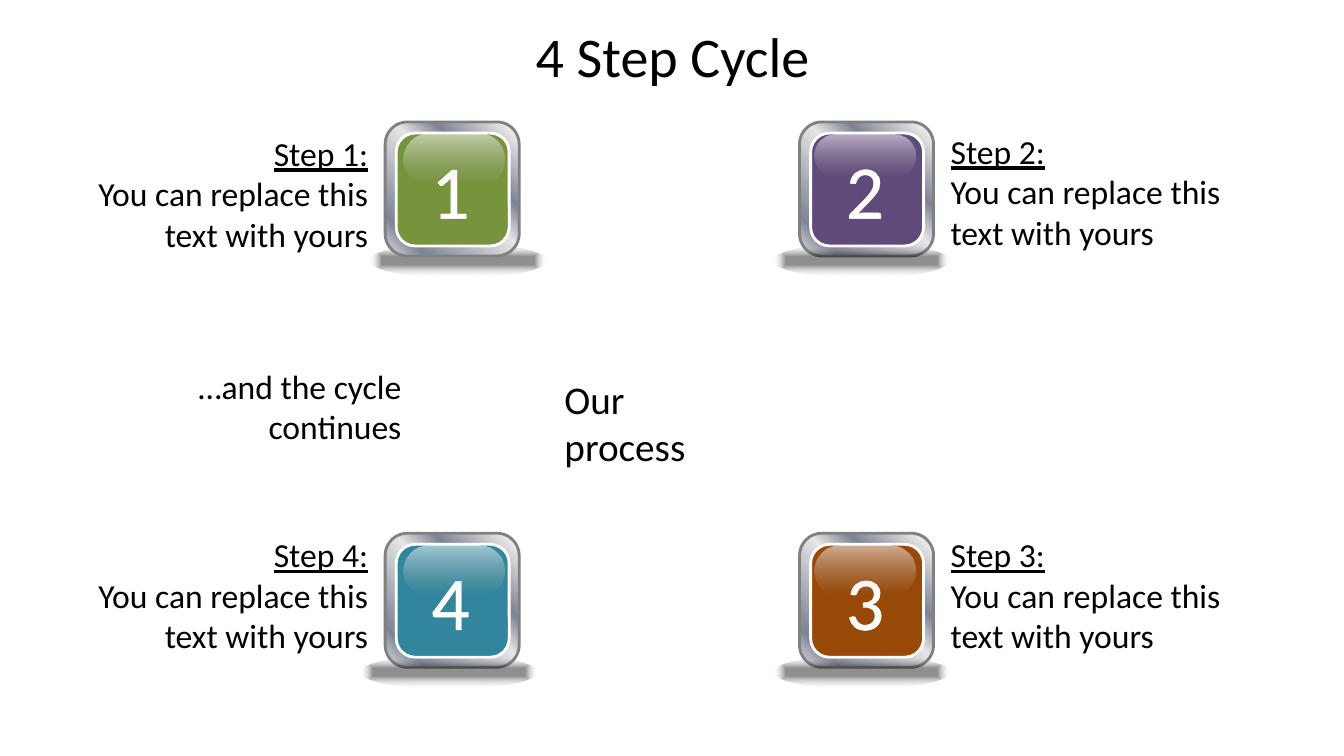
from pptx import Presentation, oxml, util as u
from pptx.dml.color import RGBColor
from pptx.enum import shapes, text
from pptx.oxml import ns

PX = 9144  # EMU per px, 100 px to the inch
THEME = dict(
    font="Calibri", ink="000000", white="FFFFFF", rim="808080",
    title=40, digit=54, centre=28, body=24,
    # Gradient stops: position, colour, opacity (all in percent)
    metal=[(0, "FFFFFF", 100), (7, "E6E6E6", 100), (32, "7D8496", 100),
           (47, "E6E6E6", 100), (85, "7D8496", 100), (100, "E6E6E6", 100)],
    gloss=[(0, "FFFFFF", 56), (100, "B6B6B6", 0)],
    shade=[(24, "000000", 44), (100, "FFFFFF", 0)],
)
ROUND, OVAL = shapes.MSO_SHAPE.ROUNDED_RECTANGLE, shapes.MSO_SHAPE.OVAL
LEFT, MID, RIGHT = text.PP_ALIGN.LEFT, text.PP_ALIGN.CENTER, text.PP_ALIGN.RIGHT

deck = Presentation()
deck.slide_width, deck.slide_height = 1333 * PX, 750 * PX
slide = deck.slides.add_slide(deck.slide_layouts[5])


def draw(kind, box, fill, line=None, angle=None):
    """Add a shape; a list of stops gives a gradient, linear if angled."""
    shape = slide.shapes.add_shape(kind, *(n * PX for n in box))
    shape.shadow.inherit = False
    if isinstance(fill, str):
        shape.fill.solid()
        shape.fill.fore_color.rgb = RGBColor.from_string(fill)
    else:
        stops = "".join(
            f'<a:gs pos="{pos * 1000}"><a:srgbClr val="{tone}">'
            f'<a:alpha val="{alpha * 1000}"/></a:srgbClr></a:gs>'
            for pos, tone, alpha in fill)
        way = (f'<a:lin ang="{angle * 60000}" scaled="0"/>' if angle else
               '<a:path path="shape"><a:fillToRect l="50000" t="50000" '
               'r="50000" b="50000"/></a:path>')
        shape.fill.background()
        props = shape._element.spPr
        props.replace(props.find(ns.qn("a:noFill")), oxml.parse_xml(
            f'<a:gradFill {ns.nsdecls("a")} rotWithShape="1">'
            f'<a:gsLst>{stops}</a:gsLst>{way}</a:gradFill>'))
    if line:
        shape.line.color.rgb = RGBColor.from_string(line)
        shape.line.width = u.Pt(2)
    else:
        shape.line.fill.background()
    return shape


def write(box, lines, size, align=LEFT, tone="ink", wrap=True, shape=None):
    """Fill a text box, or the given shape; return its last run."""
    shape = shape or slide.shapes.add_textbox(0, 0, 0, 0)
    for name, n in zip(("left", "top", "width", "height"), box):
        setattr(shape, name, n * PX)
    frame = shape.text_frame
    frame.word_wrap = wrap
    frame.text = "\n".join(lines)
    for para in frame.paragraphs:
        para.alignment = align
        run = para.runs[0]
        look = dict(name=THEME["font"], size=u.Pt(THEME[size]),
                    underline=run.text.startswith("Step "))
        for key, value in look.items():
            setattr(run.font, key, value)
        run.font.color.rgb = RGBColor.from_string(THEME[tone])
    return run


# Title
head = slide.shapes.title
write((217, 11, 900, 87), ["4 Step Cycle"], "title", MID, shape=head)
head.text_frame.vertical_anchor = text.MSO_ANCHOR.MIDDLE

# Step buttons: digit, corner, colour, gloss height, shadow left
steps = [
    ("1", 382, 121, "77933C", 50, 367),
    ("2", 793, 121, "604A7B", 42, 767),
    ("3", 793, 529, "984807", 50, 767),
    ("4", 382, 529, "31859C", 50, 358),
]
for digit, x, y, tone, high, dark in steps:
    shade = dark, y + 121, 175, 33
    if digit == "1":
        draw(OVAL, shade, THEME["shade"])
    draw(ROUND, (x, y, 133, 133), THEME["metal"], THEME["rim"], 135)
    draw(ROUND, (x + 11, y + 11, 112, 112), tone, THEME["white"])
    run = write((x + 36, y + 16, 59, 101), [digit], "digit",
                tone="white", wrap=False)
    run.font._element.insert(0, oxml.parse_xml(
        f'<a:ln {ns.nsdecls("a")} w="18415"><a:solidFill>'
        f'<a:srgbClr val="{THEME["white"]}"/></a:solidFill></a:ln>'))
    gloss = draw(ROUND, (x + (18 if x < 600 else 15), y + 12, 100, high),
                 THEME["gloss"], angle=90)
    gloss.adjustments[0] = 0.5
    if digit != "1":
        draw(OVAL, shade, THEME["shade"])

# Step captions
captions = [
    ("1", (78, 127, 297, 131), RIGHT),
    ("2", (933, 125, 300, 131), LEFT),
    ("3", (933, 525, 325, 131), LEFT),
    ("4", (75, 525, 300, 131), RIGHT),
]
for digit, box, align in captions:
    write(box, [f"Step {digit}:", "You can replace this text with yours"],
          "body", align)

# Centre and closing notes
write((550, 367, 165, 104), ["Our process"], "centre")
write((146, 358, 262, 91), ["…and the cycle continues"], "body", RIGHT)

deck.save("out.pptx")
